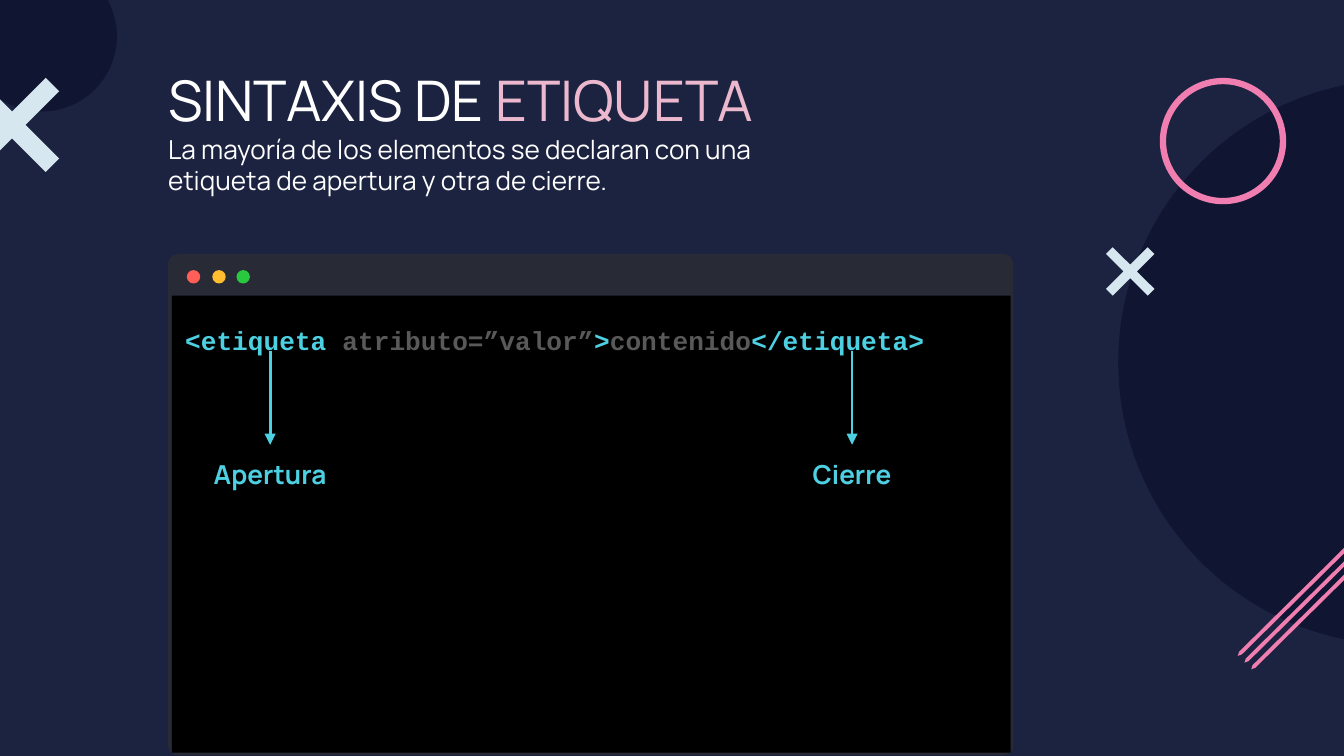
from lxml import etree
from pptx import Presentation
from pptx.dml.color import RGBColor
from pptx.enum.shapes import MSO_CONNECTOR, MSO_SHAPE
from pptx.enum.text import MSO_ANCHOR, MSO_AUTO_SIZE, PP_ALIGN
from pptx.oxml.ns import qn
from pptx.util import Inches, Pt

OVAL, RECTANGLE = MSO_SHAPE.OVAL, MSO_SHAPE.RECTANGLE
ROUNDED, DONUT = MSO_SHAPE.ROUNDED_RECTANGLE, MSO_SHAPE.DONUT
STRAIGHT = MSO_CONNECTOR.STRAIGHT
TOP, LEFT, CENTER = MSO_ANCHOR.TOP, PP_ALIGN.LEFT, PP_ALIGN.CENTER
NO_AUTOFIT = MSO_AUTO_SIZE.NONE
COLORS = {
    "background": "1C2340", "circle": "101632", "window": "282A36",
    "red": "FF5F56", "yellow": "FFBD2F", "green": "28C93F",
    "black": "000000", "white": "FFFFFF", "cyan": "4DD0E1",
    "gray": "595959", "rose": "ECB8CE", "pink": "F17EB0", "ice": "D7E7EF",
}


def paint(shape, color):
    shape.fill.solid()
    shape.fill.fore_color.rgb = RGBColor.from_string(COLORS[color])
    shape.line.fill.background()
    shape.shadow.inherit = False


def add_runs(paragraph, runs, font, size, bold, alignment=LEFT):
    paragraph.alignment = alignment
    for text, color in runs:
        run = paragraph.add_run()
        run.text = text
        run.font.name = font
        run.font.size = Pt(size)
        run.font.bold = bold
        run.font.color.rgb = RGBColor.from_string(COLORS[color])


presentation = Presentation()
presentation.slide_width = Inches(10)
presentation.slide_height = Inches(10) * 9 // 16
slide = presentation.slides.add_slide(presentation.slide_layouts[5])
slide.background.fill.solid()
slide.background.fill.fore_color.rgb = RGBColor.from_string(COLORS["background"])
shapes = slide.shapes

# Code window
window = shapes.add_group_shape()
frame = window.shapes.add_shape(ROUNDED, Inches(1.25), Inches(1.89), Inches(6.29), Inches(3.73))
frame.adjustments[0] = 0.02
paint(frame, "window")
for left, color in [(1.39, "red"), (1.58, "yellow"), (1.76, "green")]:
    button = window.shapes.add_shape(OVAL, Inches(left), Inches(2.01), Inches(0.1), Inches(0.1))
    paint(button, color)

code = shapes.add_shape(RECTANGLE, Inches(1.28), Inches(2.2), Inches(6.24), Inches(3.4))
paint(code, "black")
code_frame = code.text_frame
code_frame.word_wrap = True
code_frame.vertical_anchor = TOP
code_frame.margin_left = code_frame.margin_right = Inches(0.1)
code_frame.margin_top = code_frame.margin_bottom = Inches(0.1)
code_line = code_frame.paragraphs[0]
code_line.line_spacing = 1.5
add_runs(code_line, [("<etiqueta ", "cyan"), ("atributo=”valor”", "gray"), (">", "cyan"),
                     ("contenido", "gray"), ("</etiqueta>", "cyan")], "Courier New", 14, True)

# Title with its explanation
title = shapes.title
title.left, title.top = Inches(1.15), Inches(0.39)
title.width, title.height = Inches(4.86), Inches(0.86)
title_frame = title.text_frame
title_frame.word_wrap = True
title_frame.auto_size = NO_AUTOFIT
title_frame.vertical_anchor = TOP
title_frame.margin_left = title_frame.margin_right = Inches(0.1)
title_frame.margin_top = title_frame.margin_bottom = Inches(0.1)
add_runs(title_frame.paragraphs[0], [("SINTAXIS DE ", "white"), ("ETIQUETA", "rose")],
         "Manrope", 30, False)
explanation = "La mayoría de los elementos se declaran con una etiqueta de apertura y otra de cierre."
add_runs(title_frame.add_paragraph(), [(explanation, "white")], "Manrope", 14, False)

# Decoration
for left, top, size in [(-0.25, -0.29, 1.12), (8.32, 0.59, 4.21)]:
    circle = shapes.add_shape(OVAL, Inches(left), Inches(top), Inches(size), Inches(size))
    paint(circle, "circle")

ring = shapes.add_shape(DONUT, Inches(8.63), Inches(0.58), Inches(0.94), Inches(0.94))
ring.adjustments[0] = 0.05
paint(ring, "pink")

outlines = []
for x, y, outer, inner, notch in [(8.41, 2.02, 0.18, 0.13, 0.05), (0.09, 0.93, 0.35, 0.25, 0.1)]:
    cross = [(-inner, -outer), (-outer, -inner), (-notch, 0), (-outer, inner),
             (-inner, outer), (0, notch), (inner, outer), (outer, inner),
             (notch, 0), (outer, -inner), (inner, -outer), (0, -notch)]
    outlines.append((x, y, cross, "ice"))
stripe = [(0.9, 0.01), (0.01, 0.89), (0, 0.92), (0.03, 0.91), (0.92, 0.03), (0.93, 0)]
for index in range(3):
    outlines.append((9.21 + 0.05 * index, 3.96 + 0.05 * index, stripe, "pink"))
for x, y, offsets, color in outlines:
    points = [(Inches(x + across), Inches(y + down)) for across, down in offsets]
    builder = shapes.build_freeform(*points[0])
    builder.add_line_segments(points[1:])
    paint(builder.convert_to_shape(), color)

# Labels and their arrows
for text, left in [("Apertura", 1.25), ("Cierre", 5.58)]:
    label = shapes.add_textbox(Inches(left), Inches(3.31), Inches(1.52), Inches(0.86))
    label_frame = label.text_frame
    label_frame.word_wrap = True
    label_frame.margin_left = label_frame.margin_right = Inches(0.1)
    label_frame.margin_top = label_frame.margin_bottom = Inches(0.1)
    add_runs(label_frame.paragraphs[0], [(text, "cyan")], "Manrope", 14, True, CENTER)

    middle = Inches(left + 0.76)
    arrow = shapes.add_connector(STRAIGHT, middle, Inches(3.31), middle, Inches(2.61))
    arrow.begin_connect(label, 0)
    arrow.line.color.rgb = RGBColor.from_string(COLORS["cyan"])
    arrow.line.width = Pt(1.5)
    properties = arrow._element.spPr
    etree.SubElement(properties.find(qn("a:ln")), qn("a:headEnd"), type="triangle")
    etree.SubElement(properties, qn("a:effectLst"))

presentation.save("out.pptx")
